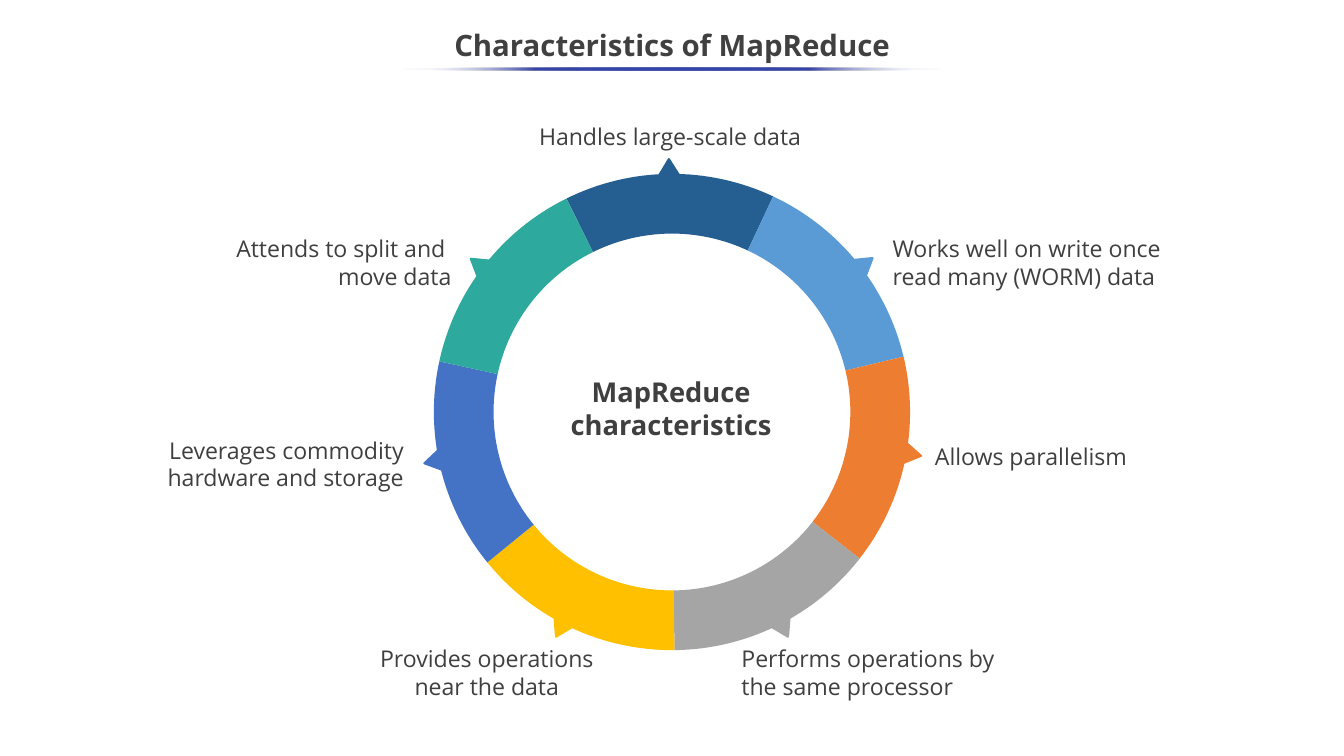
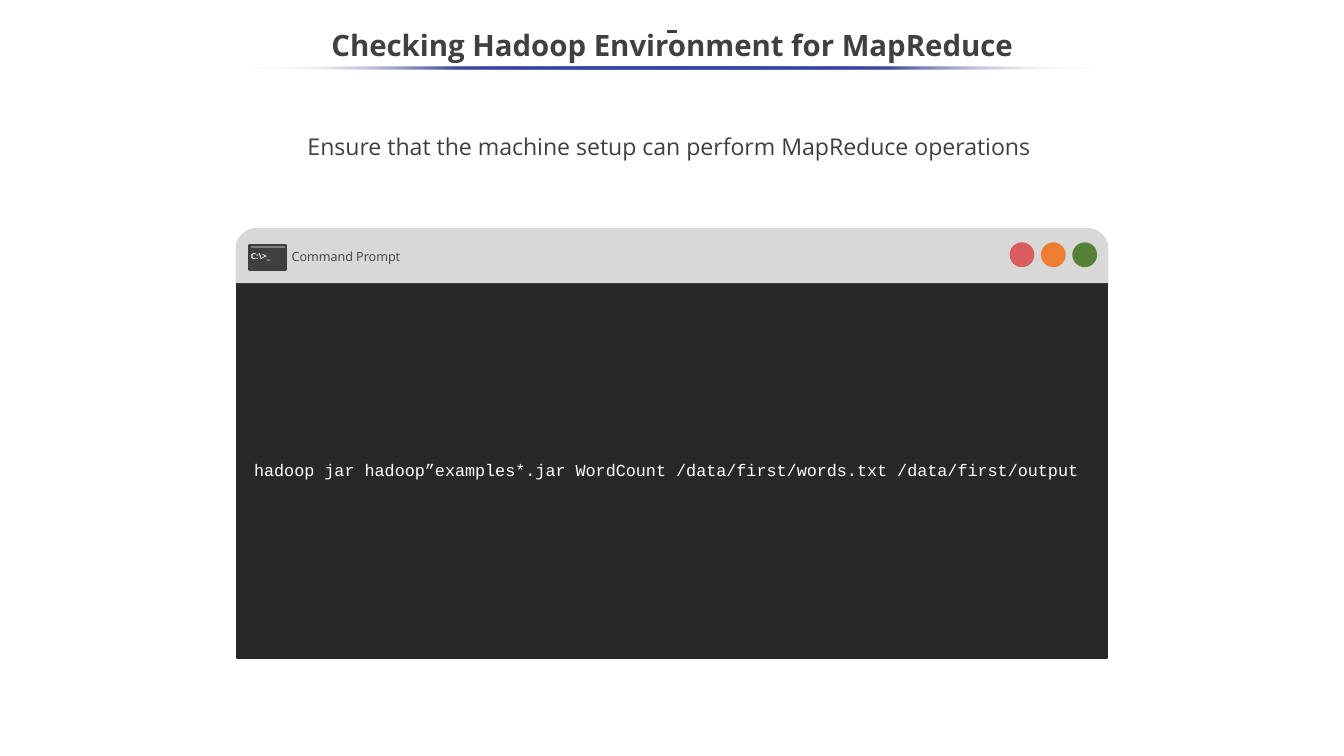
from dataclasses import dataclass
from math import cos, radians, sin

from lxml import etree
from pptx import Presentation
from pptx.dml.color import RGBColor
from pptx.enum.shapes import MSO_CONNECTOR, MSO_SHAPE
from pptx.enum.text import MSO_ANCHOR, PP_ALIGN
from pptx.oxml import parse_xml
from pptx.oxml.ns import nsdecls, qn
from pptx.util import Inches, Pt

LEFT, CENTER, RIGHT = PP_ALIGN.LEFT, PP_ALIGN.CENTER, PP_ALIGN.RIGHT
TOP, MIDDLE = MSO_ANCHOR.TOP, MSO_ANCHOR.MIDDLE
RECTANGLE, OVAL = MSO_SHAPE.RECTANGLE, MSO_SHAPE.OVAL
TRIANGLE = MSO_SHAPE.ISOSCELES_TRIANGLE
ROUNDED_TOP = MSO_SHAPE.ROUND_2_SAME_RECTANGLE


@dataclass(frozen=True)
class Theme:
    font: str = "Open Sans"
    code_font: str = "Courier New"
    title: str = "404040"
    text: str = "3F3F3F"
    white: str = "FFFFFF"
    rule: str = "3645A9"
    console: str = "282828"
    bar: str = "D8D8D8"
    bar_edge: str = "D9D9D9"
    strip: str = "7F7F7F"
    title_size: int = 28
    hub_size: int = 26
    body_size: int = 22
    code_size: int = 16
    caption_size: int = 12
    icon_size: int = 8


THEME = Theme()
PAGE_WIDTH, PAGE_HEIGHT = 17.78, 10

# Clockwise from the top: label, label box, alignment, colour, pointer angle
CHARACTERISTICS = [
    ("Handles large-scale data", (6.82, 1.57, 4.09, 0.47), CENTER, "255E91", -0.7),
    ("Works well on write once read many (WORM) data",
     (11.71, 3.05, 4.03, 0.84), LEFT, "5B9BD5", 52.5),
    ("Allows parallelism", (12.27, 5.8, 3.58, 0.47), LEFT, "ED7D31", 100),
    ("Performs operations by the same processor",
     (9.71, 8.48, 3.79, 0.84), LEFT, "A5A5A5", 152.7),
    ("Provides operations near the data",
     (4.66, 8.48, 3.56, 0.84), CENTER, "FFC000", 207.3),
    ("Leverages commodity hardware and storage",
     (1.68, 5.72, 3.76, 0.84), RIGHT, "4472C4", 258.3),
    ("Attends to split and \vmove data",
     (1.87, 3.05, 4.2, 0.84), RIGHT, "2DA99D", 307.3),
]
HUB = "MapReduce characteristics"
RING_CENTER = (8.89, 5.45)
OUTER_RADIUS, INNER_RADIUS, POINTER_RADIUS = 3.15, 2.36, 3.24
POINTER_WIDTH, POINTER_HEIGHT = 0.26, 0.21
RING_START = -26.3
ARC_STEPS = 32

COMMAND = " hadoop jar hadoop”examples*.jar WordCount /data/first/words.txt /data/first/output"
WINDOW_LEFT, WINDOW_TOP, WINDOW_WIDTH = 3.13, 3.03, 11.52
BAR_HEIGHT, CONSOLE_HEIGHT = 0.7, 4.98
BUTTONS = ["D95D5D", "ED7D31", "548135"]
BUTTON_LEFT, BUTTON_STEP, BUTTON_SIZE = 13.37, 0.415, 0.3


def rgb(color):
    return RGBColor.from_string(color)


def inches(box):
    return [Inches(value) for value in box]


def write(shape, text, size, color=THEME.text, font=THEME.font, bold=False,
          align=LEFT, anchor=TOP, spacing=None):
    frame = shape.text_frame
    frame.word_wrap = True
    frame.vertical_anchor = anchor
    para = frame.paragraphs[0]
    para.text = text
    para.alignment = align
    para.line_spacing = spacing
    para.font.name = font
    para.font.size = Pt(size)
    para.font.bold = bold
    para.font.color.rgb = rgb(color)


def add_label(page, box, text, size, **style):
    write(page.shapes.add_textbox(*inches(box)), text, size, **style)


def paint(shape, fill, edge=None):
    shape.shadow.inherit = False
    shape.fill.solid()
    shape.fill.fore_color.rgb = rgb(fill)
    if edge:
        shape.line.color.rgb = rgb(edge)
        shape.line.width = Pt(2)
    else:
        shape.line.fill.background()


def add_block(page, kind, box, fill, edge=None):
    shape = page.shapes.add_shape(kind, *inches(box))
    paint(shape, fill, edge or fill)
    return shape


def add_title_rule(page, top, width):
    """Thin ellipse under the title that fades out at both ends."""
    box = ((PAGE_WIDTH - width) / 2, top, width, 0.04)
    rule = page.shapes.add_shape(OVAL, *inches(box))
    paint(rule, THEME.rule)
    clear = f'<a:srgbClr val="{THEME.white}"><a:alpha val="0"/></a:srgbClr>'
    solid = f'<a:srgbClr val="{THEME.rule}"/>'
    stops = "".join(
        f'<a:gs pos="{percent * 1000}">{clear if percent in (0, 100) else solid}</a:gs>'
        for percent in range(0, 101, 25))
    gradient = parse_xml(
        f'<a:gradFill {nsdecls("a")} rotWithShape="1"><a:gsLst>{stops}</a:gsLst>'
        '<a:lin ang="10800000" scaled="0"/></a:gradFill>')
    properties = rule.fill._xPr
    properties.replace(properties.find(qn("a:solidFill")), gradient)


def add_page(deck, title, rule_top, rule_width):
    page = deck.slides.add_slide(deck.slide_layouts[5])
    heading = page.shapes.title
    heading.left, heading.top, heading.width, heading.height = inches(
        (0, 0.25, PAGE_WIDTH, 0.75))
    write(heading, title, THEME.title_size, color=THEME.title, bold=True,
          align=CENTER, anchor=MIDDLE, spacing=0.9)
    add_title_rule(page, rule_top, rule_width)
    return page


def ring_point(radius, angle):
    """Point on the ring, with the angle in degrees clockwise from the top."""
    x, y = RING_CENTER
    return x + radius * sin(radians(angle)), y - radius * cos(radians(angle))


def add_segment(page, start, sweep, color):
    angles = [start + sweep * step / ARC_STEPS for step in range(ARC_STEPS + 1)]
    outline = [ring_point(OUTER_RADIUS, angle) for angle in angles]
    outline += [ring_point(INNER_RADIUS, angle) for angle in reversed(angles)]
    points = [inches(point) for point in outline]
    builder = page.shapes.build_freeform(*points[0])
    builder.add_line_segments(points[1:], close=True)
    paint(builder.convert_to_shape(), color)


def add_pointer(page, angle, color):
    x, y = ring_point(POINTER_RADIUS, angle)
    box = (x - POINTER_WIDTH / 2, y - POINTER_HEIGHT / 2, POINTER_WIDTH, POINTER_HEIGHT)
    add_block(page, TRIANGLE, box, color).rotation = angle


def build_characteristics(deck):
    page = add_page(deck, "Characteristics of MapReduce", 0.89, 7.21)
    sweep = 360 / len(CHARACTERISTICS)
    for index, (label, box, align, color, angle) in enumerate(CHARACTERISTICS):
        add_segment(page, RING_START + index * sweep, sweep, color)
        add_pointer(page, angle, color)
        add_label(page, box, label, THEME.body_size, align=align)
    add_label(page, (7.19, 4.92, 3.38, 0.98), HUB, THEME.hub_size, bold=True, align=CENTER)


def add_prompt_window(page):
    console = add_block(
        page, RECTANGLE,
        (WINDOW_LEFT, WINDOW_TOP + BAR_HEIGHT, WINDOW_WIDTH, CONSOLE_HEIGHT), THEME.console)
    write(console, COMMAND, THEME.code_size, color=THEME.white,
          font=THEME.code_font, anchor=MIDDLE)
    bar = add_block(page, ROUNDED_TOP, (WINDOW_LEFT, WINDOW_TOP, WINDOW_WIDTH, BAR_HEIGHT),
                    THEME.bar, THEME.bar_edge)
    bar.adjustments[0] = 0.37
    for index, color in enumerate(BUTTONS):
        left = BUTTON_LEFT + index * BUTTON_STEP
        add_block(page, OVAL, (left, 3.22, BUTTON_SIZE, BUTTON_SIZE), color)
    add_label(page, (3.76, 3.24, 1.65, 0.3), "Command Prompt", THEME.caption_size)
    add_block(page, RECTANGLE, (3.3, 3.3, 0.48, 0.27), THEME.text)
    add_block(page, RECTANGLE, (3.3, 3.24, 0.48, 0.05), THEME.strip, THEME.text)
    add_label(page, (3.22, 3.27, 0.6, 0.24), r"C:\>_", THEME.icon_size,
              color=THEME.white, bold=True)


def build_environment_check(deck):
    page = add_page(deck, "Checking Hadoop Environment for MapReduce", 0.88, 11.29)
    add_label(page, (3.29, 1.6, 11.12, 0.64),
              "Ensure that the machine setup can perform MapReduce operations",
              THEME.body_size, align=CENTER, anchor=MIDDLE, spacing=1.1)
    add_prompt_window(page)
    dash = page.shapes.add_connector(MSO_CONNECTOR.STRAIGHT, *inches((8.83, 0.42, 8.96, 0.42)))
    dash.line.color.rgb = rgb(THEME.title)
    dash.line.width = Pt(3)
    etree.SubElement(dash._element.spPr, qn("a:effectLst"))


def main():
    deck = Presentation()
    deck.slide_width, deck.slide_height = inches((PAGE_WIDTH, PAGE_HEIGHT))
    build_characteristics(deck)
    build_environment_check(deck)
    deck.save("out.pptx")


if __name__ == "__main__":
    main()
